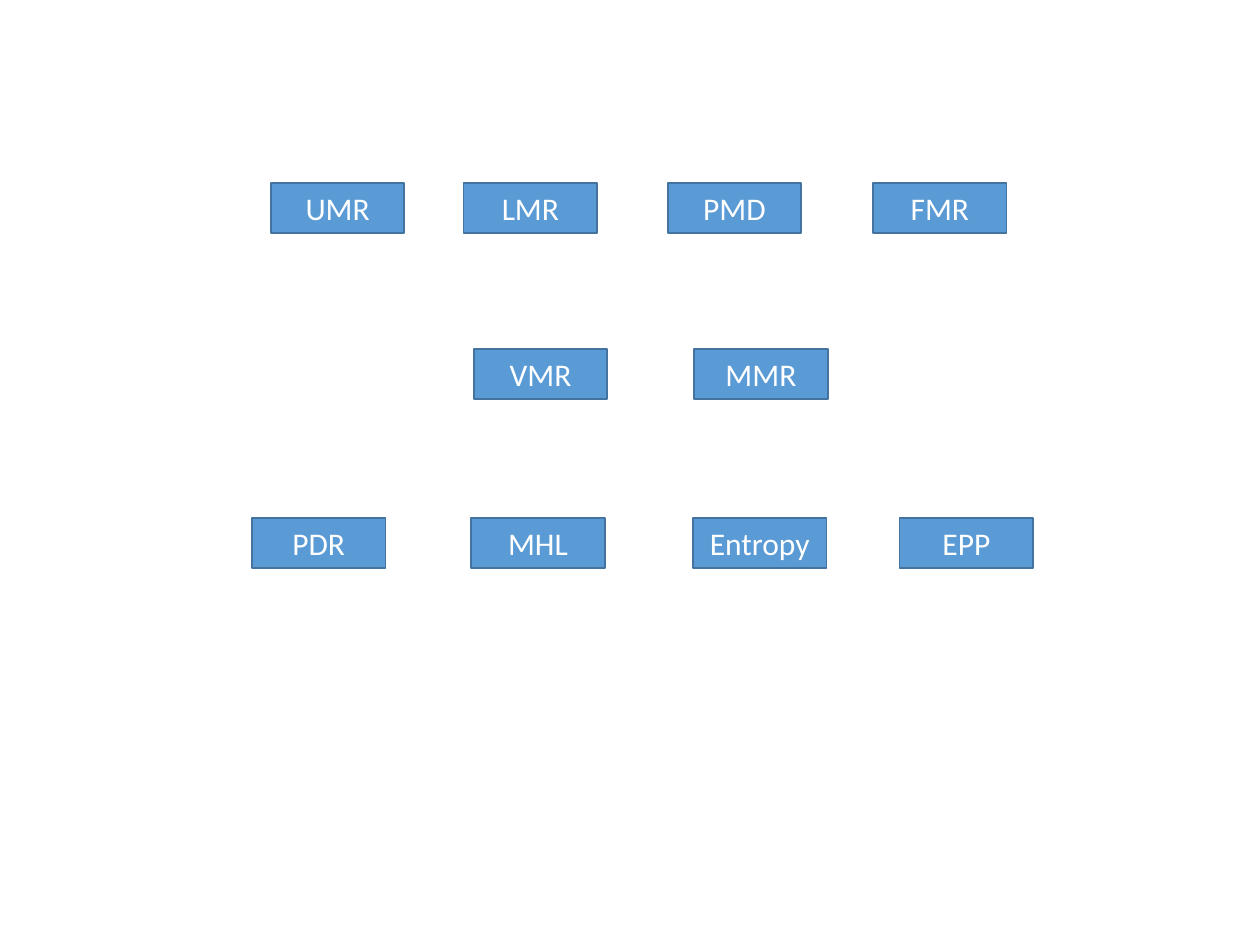
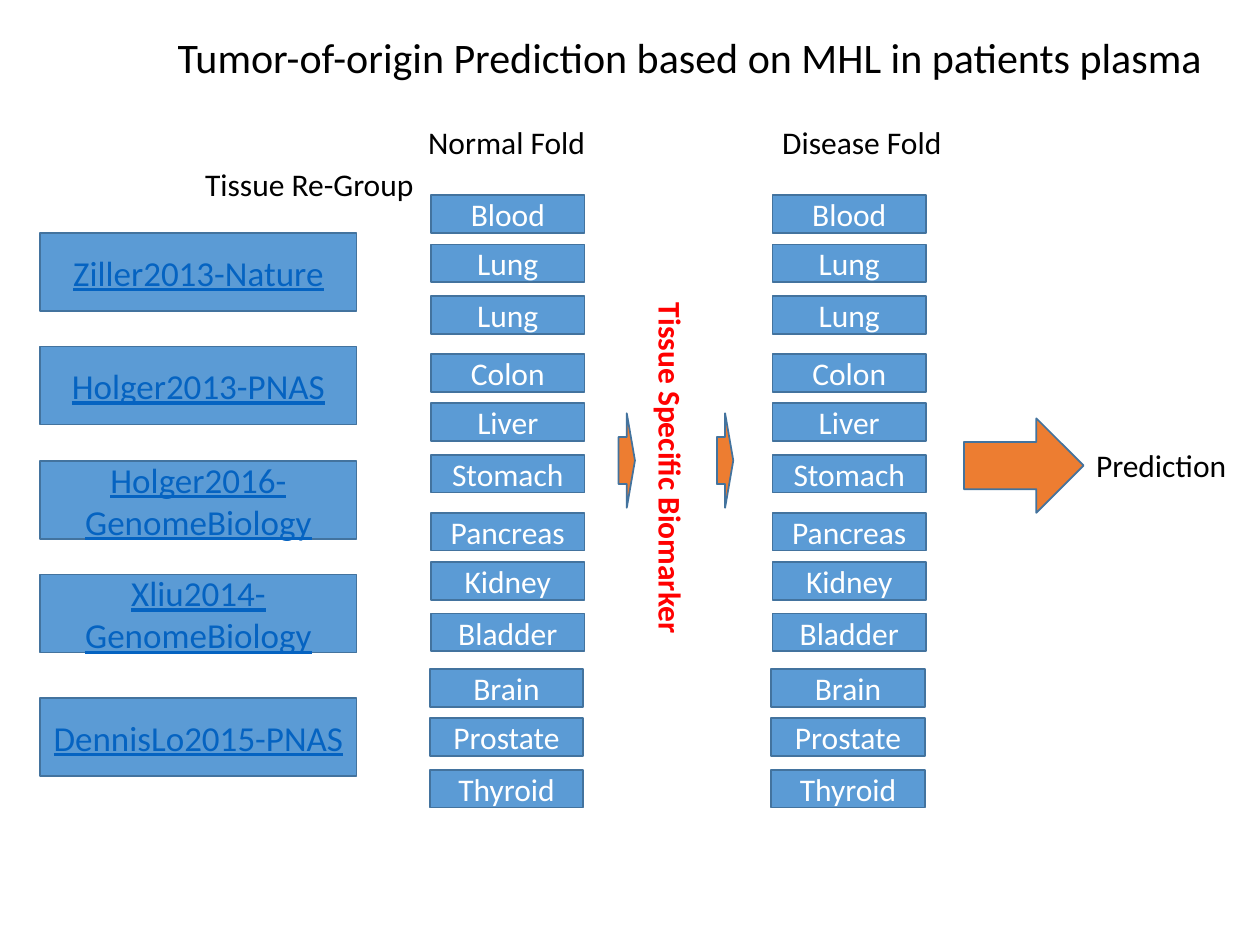
"""Builds two slides on methylation metrics and tumor-of-origin prediction."""
from dataclasses import dataclass, field
from typing import Any

from pptx import Presentation
from pptx.dml.color import RGBColor
from pptx.enum.shapes import MSO_SHAPE
from pptx.enum.text import MSO_ANCHOR, PP_ALIGN
from pptx.util import Inches, Pt

RECT, ARROW = MSO_SHAPE.RECTANGLE, MSO_SHAPE.RIGHT_ARROW
TOP, MIDDLE = MSO_ANCHOR.TOP, MSO_ANCHOR.MIDDLE
LEFT, CENTER = PP_ALIGN.LEFT, PP_ALIGN.CENTER
TITLE_ONLY, BLANK = 5, 6

COLORS = {"box": "5B9BD5", "outline": "43739E", "arrow": "ED7D31", "link": "0563C1",
          "light": "FFFFFF", "dark": "000000", "alert": "FF0000"}
BODY = {"name": "Calibri", "size": Pt(18)}
LINK = {"name": "Calibri", "size": Pt(20), "underline": True}
STRONG = {**BODY, "bold": True}
TITLE = {"name": "Calibri", "size": Pt(24)}


@dataclass(frozen=True)
class Box:
    """A filled and outlined shape with optional centred text."""
    left: float
    top: float
    width: float
    height: float
    text: str = ""
    kind: Any = RECT
    fill: str = "box"
    color: str = "light"
    font: dict[str, Any] = field(default_factory=lambda: BODY)


@dataclass(frozen=True)
class Label:
    """A single line of free text."""
    left: float
    top: float
    width: float
    text: str
    color: str = "dark"
    rotation: int = 0
    font: dict[str, Any] = field(default_factory=lambda: BODY)


METRIC_ROWS = [
    (1.45, {"UMR": 2.15, "LMR": 3.68, "PMD": 5.3, "FMR": 6.93}),
    (2.77, {"VMR": 3.76, "MMR": 5.51}),
    (4.11, {"PDR": 2, "MHL": 3.74, "Entropy": 5.5, "EPP": 7.14}),
]
STUDIES = [
    (1.85, "Ziller2013-Nature"),
    (2.75, "Holger2013-PNAS"),
    (3.66, "Holger2016-GenomeBiology"),
    (4.56, "Xliu2014-GenomeBiology"),
    (5.54, "DennisLo2015-PNAS"),
]
FOLD_LEFTS = (3.42, 6.13)
TISSUE_OFFSETS = (0, 0.39, 0.8)
TISSUE_GROUPS = [
    (1.55, 0, ("Blood", "Lung", "Lung")),
    (2.81, 0, ("Colon", "Liver", "Stomach")),
    (4.07, 0, ("Pancreas", "Kidney", "Bladder")),
    (5.31, -0.01, ("Brain", "Prostate", "Thyroid")),
]
ARROWS = [(4.91, 3.28, 0.13, 0.75), (5.69, 3.28, 0.13, 0.75), (7.65, 3.32, 0.95, 0.75)]
LABELS = [
    Label(1.53, 1.26, 1.87, "Tissue Re-Group"),
    Label(3.3, 0.93, 1.46, "Normal Fold"),
    Label(6.11, 0.93, 1.48, "Disease Fold"),
    Label(8.6, 3.49, 1.25, "Prediction"),
    Label(3.9, 3.53, 2.85, "Tissue Specific Biomarker", "alert", 90, STRONG),
]


def rgb(name: str) -> RGBColor:
    """Return the named colour."""
    return RGBColor.from_string(COLORS[name])


def set_attrs(target: Any, values: dict[str, Any]) -> None:
    """Set every attribute in values on target."""
    for name, value in values.items():
        setattr(target, name, value)


def write(sp: Any, text: str, font: dict[str, Any], color: str, align: Any,
          anchor: Any, wrap: bool) -> None:
    """Put one formatted paragraph into a shape."""
    tf = sp.text_frame
    set_attrs(tf, {"word_wrap": wrap, "vertical_anchor": anchor})
    p = tf.paragraphs[0]
    p.alignment = align
    r = p.add_run()
    r.text = text
    set_attrs(r.font, font)
    r.font.color.rgb = rgb(color)


def draw_box(s: Any, box: Box) -> None:
    """Draw a box on the slide."""
    sp = s.shapes.add_shape(box.kind, Inches(box.left), Inches(box.top),
                            Inches(box.width), Inches(box.height))
    sp.shadow.inherit = False
    sp.fill.solid()
    sp.fill.fore_color.rgb = rgb(box.fill)
    sp.line.color.rgb = rgb("outline")
    sp.line.width = Pt(1)
    if box.text:
        write(sp, box.text, box.font, box.color, CENTER, MIDDLE, True)


def draw_label(s: Any, label: Label) -> None:
    """Draw a label on the slide."""
    sp = s.shapes.add_textbox(Inches(label.left), Inches(label.top),
                              Inches(label.width), Inches(0.4))
    sp.rotation = label.rotation
    write(sp, label.text, label.font, label.color, LEFT, TOP, False)


def build_metrics(prs: Any) -> None:
    """Build the slide of methylation metrics."""
    s = prs.slides.add_slide(prs.slide_layouts[BLANK])
    for top, metrics in METRIC_ROWS:
        for name, left in metrics.items():
            draw_box(s, Box(left, top, 1.06, 0.4, name))


def build_prediction(prs: Any) -> None:
    """Build the slide of the prediction workflow."""
    s = prs.slides.add_slide(prs.slide_layouts[TITLE_ONLY])
    title = s.shapes.title
    set_attrs(title, {"left": Inches(1.31), "top": Inches(0.2),
                      "width": Inches(8.43), "height": Inches(0.5)})
    write(title, "Tumor-of-origin Prediction based on MHL in patients plasma",
          TITLE, "dark", LEFT, TOP, False)
    for top, study in STUDIES:
        draw_box(s, Box(0.32, top, 2.51, 0.62, study, color="link", font=LINK))
    for left in FOLD_LEFTS:
        for top, shift, tissues in TISSUE_GROUPS:
            for offset, tissue in zip(TISSUE_OFFSETS, tissues):
                draw_box(s, Box(left + shift, top + offset, 1.22, 0.3, tissue))
    for place in ARROWS:
        draw_box(s, Box(*place, kind=ARROW, fill="arrow"))
    for label in LABELS:
        draw_label(s, label)


def main() -> None:
    """Build and save the presentation."""
    prs = Presentation()
    set_attrs(prs, {"slide_width": Inches(10), "slide_height": Inches(7.5)})
    build_metrics(prs)
    build_prediction(prs)
    prs.save("out.pptx")


if __name__ == "__main__":
    main()
